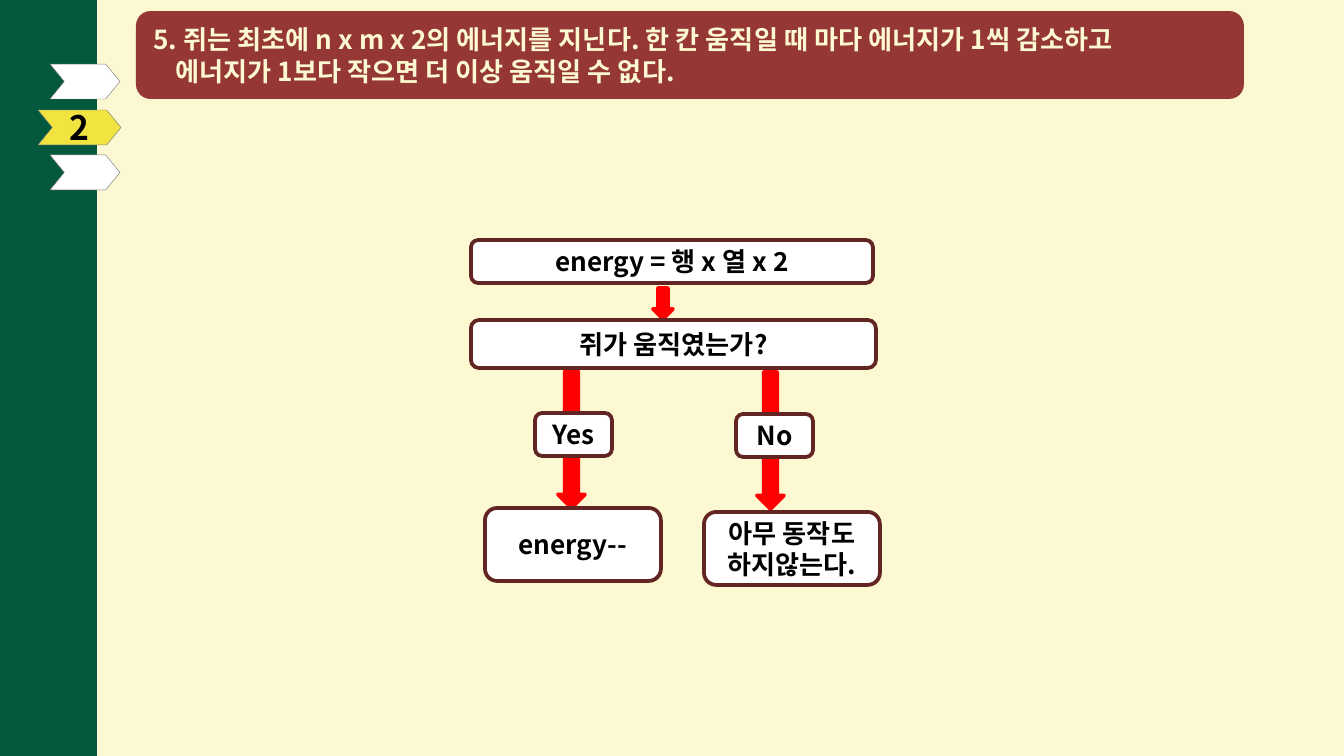
from dataclasses import dataclass

from lxml.etree import SubElement
from pptx import Presentation
from pptx.dml.color import RGBColor
from pptx.enum.shapes import MSO_SHAPE
from pptx.enum.text import MSO_ANCHOR, MSO_AUTO_SIZE, PP_ALIGN
from pptx.oxml.ns import qn
from pptx.util import Pt

PX = 914400 / 134.4  # EMU per px


@dataclass(frozen=True)
class Theme:
    font: str = "Noto Sans CJK KR"
    background: str = "FCF8D1"
    sidebar: str = "04583D"
    banner: str = "953735"
    banner_text: str = "FCF9D2"
    box: str = "FFFFFF"
    box_line: str = "632523"
    arrow: str = "FF0000"
    active: str = "F1E441"
    tab_line: str = "808080"
    text: str = "000000"
    body_size: int = 14
    tab_size: int = 18


theme = Theme()


def add_box(kind, bounds, fill, line=None, line_width=2):
    shape = slide.shapes.add_shape(kind, *[round(value * PX) for value in bounds])
    shape.shadow.inherit = False
    shape.fill.solid()
    shape.fill.fore_color.rgb = RGBColor.from_string(fill)
    if line:
        shape.line.color.rgb = RGBColor.from_string(line)
        shape.line.width = Pt(line_width)
    else:
        shape.line.fill.background()
    return shape


def write(shape, lines, size, color, align=PP_ALIGN.CENTER):
    frame = shape.text_frame
    frame.word_wrap = True
    frame.auto_size = MSO_AUTO_SIZE.NONE
    frame.vertical_anchor = MSO_ANCHOR.MIDDLE
    for index, line in enumerate(lines):
        paragraph = frame.add_paragraph() if index else frame.paragraphs[0]
        paragraph.alignment = align
        run = paragraph.add_run()
        run.text = line
        run.font.name = theme.font
        run.font.size = Pt(size)
        run.font.bold = True
        run.font.color.rgb = RGBColor.from_string(color)
        SubElement(run._r.get_or_add_rPr(), qn("a:ea"), typeface=theme.font)


presentation = Presentation()
presentation.slide_width = round(1344 * PX)
presentation.slide_height = round(756 * PX)
slide = presentation.slides.add_slide(presentation.slide_layouts[5])
slide.background.fill.solid()
slide.background.fill.fore_color.rgb = RGBColor.from_string(theme.background)

# Sidebar with its page tabs
add_box(MSO_SHAPE.RECTANGLE, (0, 0, 97, 756), theme.sidebar)
for left, top, width, fill, label in [
    (50, 64, 70, theme.box, None),
    (38, 110, 83, theme.active, "2"),
    (50, 155, 70, theme.box, None),
]:
    tab = add_box(MSO_SHAPE.CHEVRON, (left, top, width, 35), fill, theme.tab_line, 0.25)
    tab.adjustments[0] = 0.41
    if label:
        write(tab, [label], theme.tab_size, theme.text)

# Title on its banner
banner = add_box(MSO_SHAPE.ROUNDED_RECTANGLE, (136, 11, 1108, 88), theme.banner)
title = slide.shapes.title
title.left, title.top = banner.left + round(4 * PX), banner.top
title.width, title.height = banner.width - round(8 * PX), banner.height
write(
    title,
    [
        "5. 쥐는 최초에 n x m x 2의 에너지를 지닌다. 한 칸 움직일 때 마다 에너지가 1씩 감소하고",
        "에너지가 1보다 작으면 더 이상 움직일 수 없다.",
    ],
    theme.body_size, theme.banner_text, PP_ALIGN.LEFT,
)
second_line = title.text_frame.paragraphs[1]
second_line._p.get_or_add_pPr().set("marL", str(round(22 * PX)))
banner._element.addnext(title._element)  # keep the title in front of the banner

# Flow arrows, behind the boxes
for bounds in [(653, 288, 20, 31), (558, 371, 27, 137), (757, 372, 27, 137)]:
    add_box(MSO_SHAPE.DOWN_ARROW, bounds, theme.arrow, theme.arrow)

# Flow boxes
for label, bounds in [
    ("energy = 행 x 열 x 2", (471, 240, 402, 43)),
    ("쥐가 움직였는가?", (471, 320, 405, 48)),
    ("Yes", (535, 413, 77, 43)),
    ("No", (736, 414, 77, 43)),
    ("energy--", (485, 508, 176, 73)),
    ("아무 동작도 하지않는다.", (704, 512, 176, 73)),
]:
    box = add_box(MSO_SHAPE.ROUNDED_RECTANGLE, bounds, theme.box, theme.box_line)
    write(box, [label], theme.body_size, theme.text)

presentation.save("out.pptx")
